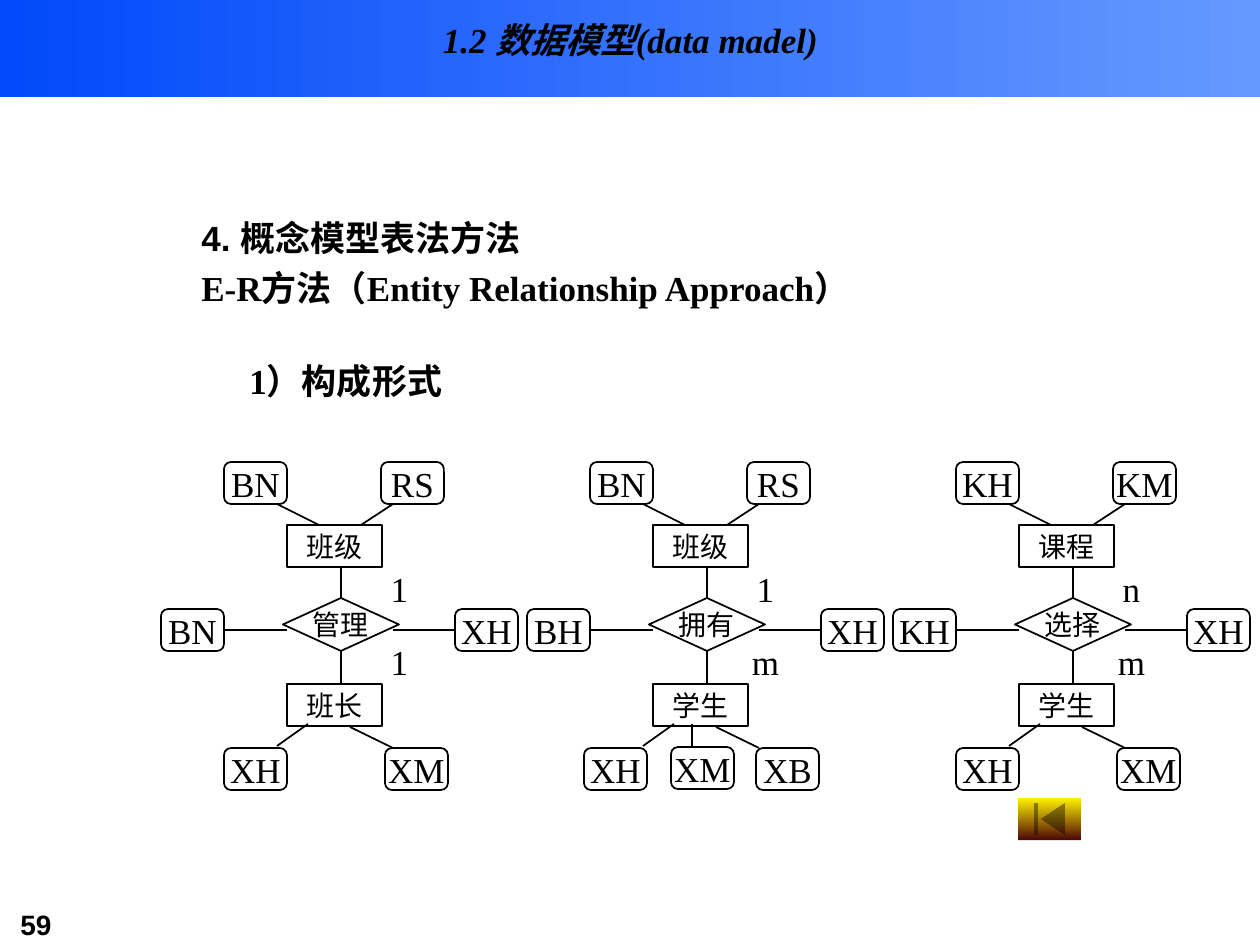
from lxml import etree
from pptx import Presentation
from pptx.dml.color import RGBColor
from pptx.enum.shapes import MSO_CONNECTOR, MSO_SHAPE
from pptx.enum.text import MSO_ANCHOR, PP_ALIGN
from pptx.oxml.ns import qn
from pptx.util import Emu, Pt

PX = 914400 / 126
BLACK = RGBColor(0x00, 0x00, 0x00)
BLUE = RGBColor(0x02, 0x49, 0xFA)
LIGHT_BLUE = RGBColor(0x66, 0x99, 0xFF)
YELLOW = RGBColor(0xFF, 0xF2, 0x00)
DARK_RED = RGBColor(0x4D, 0x08, 0x08)
SERIF, SANS = "Times New Roman", "Arial"
RECTANGLE = MSO_SHAPE.RECTANGLE
ATTRIBUTE = MSO_SHAPE.FLOWCHART_ALTERNATE_PROCESS
DIAMOND = MSO_SHAPE.FLOWCHART_DECISION
HOME_BUTTON = MSO_SHAPE.ACTION_BUTTON_BEGINNING
STRAIGHT = MSO_CONNECTOR.STRAIGHT
CENTER, JUSTIFY, LEFT = PP_ALIGN.CENTER, PP_ALIGN.JUSTIFY, PP_ALIGN.LEFT
MIDDLE, TOP_ANCHOR = MSO_ANCHOR.MIDDLE, MSO_ANCHOR.TOP
TOP, LEFT_SIDE, BOTTOM, RIGHT_SIDE = range(4)

DIAGRAM_LEFT, DIAGRAM_TOP, DIAGRAM_STEP = 161, 462, 366
ATTRIBUTE_WIDTH, BOX_HEIGHT = 63, 42
# Each attribute: text, left, top, relative to its diagram.
DIAGRAMS = [
    dict(entities=("班级", "班长"), relation="管理", ratio=("1", "1"),
         attributes=("BN", "RS", "BN", "XH"),
         lower=[("XH", 63, 286), ("XM", 224, 286)]),
    dict(entities=("班级", "学生"), relation="拥有", ratio=("1", "m"),
         attributes=("BN", "RS", "BH", "XH"),
         lower=[("XH", 57, 286), ("XM", 144, 285), ("XB", 229, 286)]),
    dict(entities=("课程", "学生"), relation="选择", ratio=("n", "m"),
         attributes=("KH", "KM", "KH", "XH"),
         lower=[("XH", 63, 286), ("XM", 224, 286)]),
]
ATTRIBUTE_PLACES = [(63, 0), (220, 0), (0, 147), (294, 147)]
SLANTED_LINES = [(116, 42, 158, 63), (200, 63, 232, 42),
                 (189, 265, 232, 286), (116, 284, 147, 262)]


def px(*lengths):
    return [Emu(round(length * PX)) for length in lengths]


def style(paragraph, size, name=SERIF, align=CENTER, bold=False, italic=False):
    paragraph.alignment = align
    font = paragraph.font
    font.size, font.name = Pt(size), name
    font.bold, font.italic = bold, italic
    font.color.rgb = BLACK


def add_gradient_shape(slide, kind, box, colors, angle):
    shape = slide.shapes.add_shape(kind, *px(*box))
    shape.shadow.inherit = False
    shape.line.fill.background()
    shape.fill.gradient()
    shape.fill.gradient_angle = angle
    for stop, color in zip(shape.fill.gradient_stops, colors):
        stop.color.rgb = color


def add_node(slide, kind, box, text, size, outlined=True):
    shape = slide.shapes.add_shape(kind, *px(*box))
    shape.shadow.inherit = False
    shape.fill.background()
    if outlined:
        shape.line.color.rgb = BLACK
        shape.line.width = Pt(1)
    else:
        shape.line.fill.background()
    frame = shape.text_frame
    frame.word_wrap = False
    frame.vertical_anchor = MIDDLE
    frame.text = text
    style(frame.paragraphs[0], size)
    return shape


def add_line(slide, *ends):
    line = slide.shapes.add_connector(STRAIGHT, *px(*ends))
    line.line.color.rgb = BLACK
    line.line.width = Pt(1)
    etree.SubElement(line._element.spPr, qn("a:effectLst"))
    return line


def add_diagram(slide, left, top, entities, relation, ratio, attributes, lower):
    """Draw one entity-relationship diagram from its top left corner."""
    def attribute(text, x, y, outlined=True):
        box = (left + x, top + y, ATTRIBUTE_WIDTH, BOX_HEIGHT)
        return add_node(slide, ATTRIBUTE, box, text, 20, outlined)

    def line(x1, y1, x2, y2):
        return add_line(slide, left + x1, top + y1, left + x2, top + y2)

    for text, y in zip(entities, (63, 222)):
        add_node(slide, RECTANGLE, (left + 126, top + y, 95, BOX_HEIGHT), text, 16)
    diamond = add_node(slide, DIAMOND, (left + 122, top + 136, 116, 53), relation, 16)
    line(180, 105, 180, 136).end_connect(diamond, TOP)
    line(180, 189, 180, 222).begin_connect(diamond, BOTTOM)

    nodes = [attribute(text, *place) for text, place in zip(attributes, ATTRIBUTE_PLACES)]
    line(63, 168, 126, 168).begin_connect(nodes[2], RIGHT_SIDE)
    line(232, 168, 294, 168).end_connect(nodes[3], LEFT_SIDE)
    for ends in SLANTED_LINES:
        line(*ends)

    for text, x, y in lower:
        attribute(text, x, y)
    if len(lower) == 3:
        line(165, 262, 165, 284)
    for text, y in zip(ratio, (105, 178)):
        attribute(text, 207, y, outlined=False)


def add_text_box(slide, box, anchor=TOP_ANCHOR):
    frame = slide.shapes.add_textbox(*px(*box)).text_frame
    frame.word_wrap = True
    frame.vertical_anchor = anchor
    return frame


def add_header(slide, box):
    left, top, width, height = box
    add_gradient_shape(slide, RECTANGLE, box, (BLUE, LIGHT_BLUE), 0)
    frame = add_text_box(slide, (left + 95, top, width - 189, height - 18), MIDDLE)
    frame.text = "1.2 数据模型(data madel)"
    style(frame.paragraphs[0], 20, bold=True, italic=True)


def add_body(slide, box):
    frame = add_text_box(slide, box)
    lines = [("4. 概念模型表法方法", SANS),
             ("E-R方法（Entity Relationship Approach）", SERIF),
             ("\v1）构成形式", SERIF)]
    for index, (text, name) in enumerate(lines):
        paragraph = frame.add_paragraph() if index else frame.paragraphs[0]
        paragraph.text = text
        indent = px(48)[0]
        properties = paragraph._p.get_or_add_pPr()
        properties.set("marL", str(indent))
        properties.set("indent", str(-indent))
        if index:
            paragraph.space_before = Pt(5)
        style(paragraph, 20, name, JUSTIFY, bold=True)


def add_page_number(slide, box):
    frame = add_text_box(slide, box)
    frame.text = "59"
    style(frame.paragraphs[0], 16, SANS, LEFT, bold=True)


def main():
    presentation = Presentation()
    presentation.slide_width, presentation.slide_height = px(1260, 945)
    slide = presentation.slides.add_slide(presentation.slide_layouts[6])
    add_header(slide, (0, 0, 1260, 97))
    add_page_number(slide, (8, 901, 154, 44))
    add_body(slide, (189, 210, 1071, 620))
    for index, diagram in enumerate(DIAGRAMS):
        add_diagram(slide, DIAGRAM_LEFT + index * DIAGRAM_STEP, DIAGRAM_TOP, **diagram)
    add_gradient_shape(slide, HOME_BUTTON, (1018, 798, 63, 42), (YELLOW, DARK_RED), 270)
    presentation.save("out.pptx")


if __name__ == "__main__":
    main()
